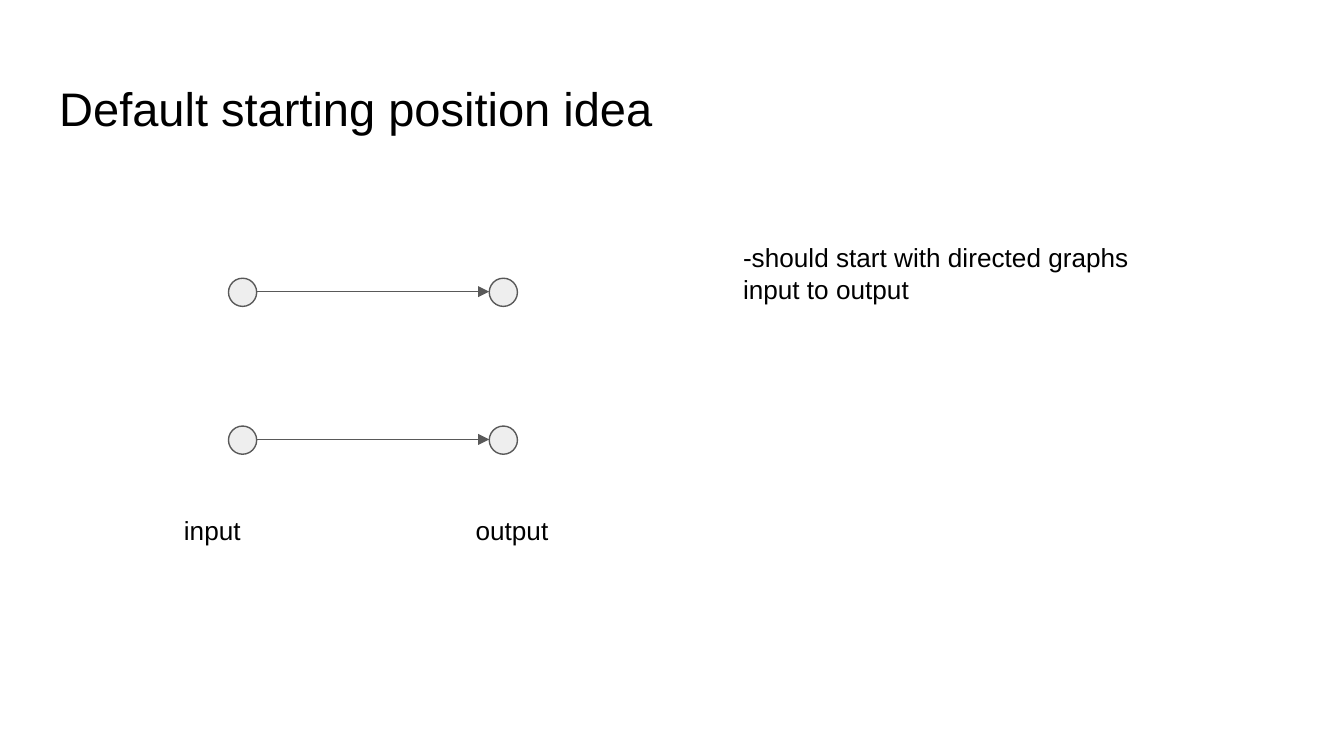
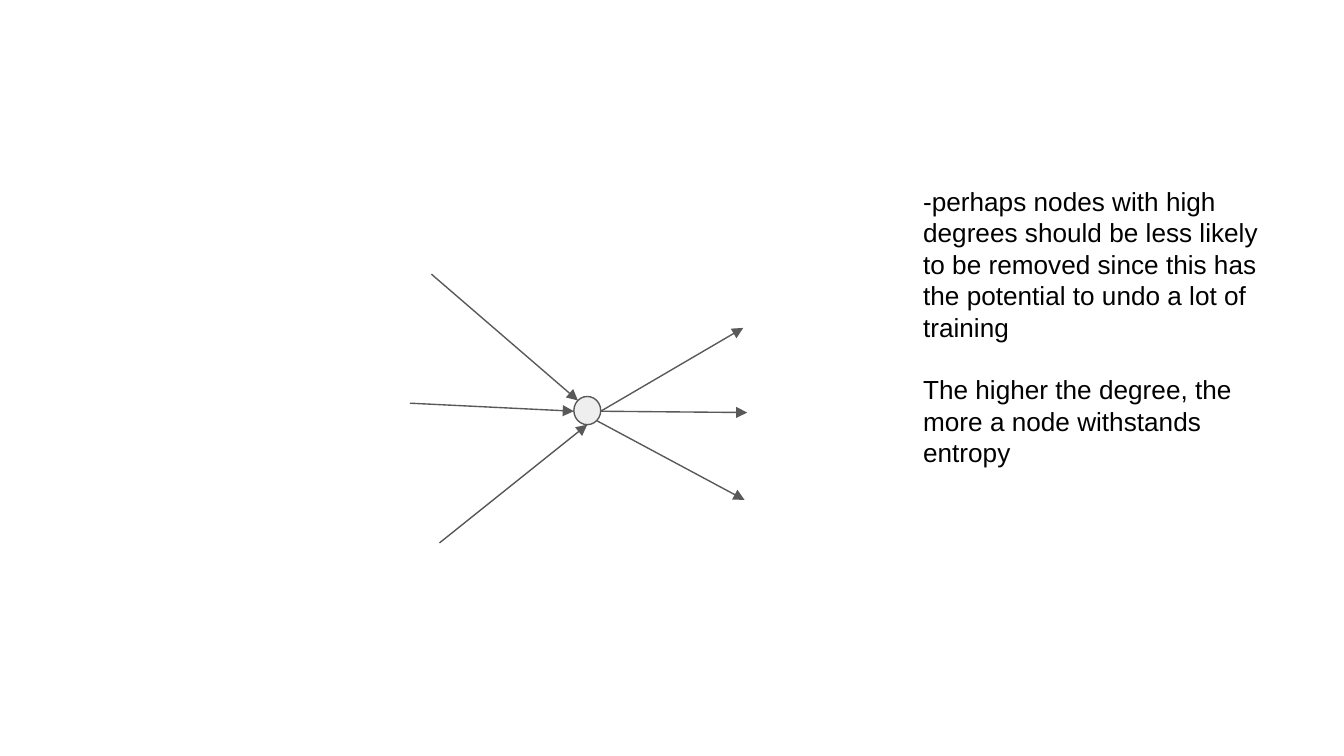
"""Build two slides on directed graphs and node degree."""
from typing import NamedTuple

from pptx import Presentation
from pptx import util as u
from pptx.dml.color import RGBColor
from pptx.enum import shapes, text
from pptx.oxml.ns import qn
from lxml import etree

INK = RGBColor(0x00, 0x00, 0x00)
EDGE = RGBColor(0x59, 0x59, 0x59)
FILL = RGBColor(0xEE, 0xEE, 0xEE)
FONT = "Arial"
WIDE = u.Inches(10)
HIGH = u.Emu(WIDE * 9 // 16)
PAD = u.Inches(0.1)
LINE = u.Pt(0.75)
BODY = 14
SIZE = 0.21


class Node(NamedTuple):
    x: float
    y: float
    w: float = SIZE


class Arrow(NamedTuple):
    x1: float
    y1: float
    x2: float
    y2: float


class Note(NamedTuple):
    x: float
    y: float
    w: float
    h: float
    paras: tuple[str, ...]


LEFT, RIGHT = 1.7, 3.64
ROWS = (2.07, 3.17)
PAIRS = [Node(x, y) for x in (LEFT, RIGHT) for y in ROWS]
LINKS = [Arrow(LEFT + SIZE, y + 0.1, RIGHT, y + 0.1) for y in ROWS]
LABELS = [
    Note(1.27, 3.73, 1.11, 0.44, ("input",)),
    Note(3.44, 3.73, 1.11, 0.44, ("output",)),
    Note(5.43, 1.7, 3.45, 0.67,
         ("-should start with directed graphs input to output",)),
]

HUB = Node(4.27, 2.95, 0.2)
SPOKES = [
    Arrow(3.21, 2.04, 4.3, 2.98),
    Arrow(3.05, 3, 4.27, 3.06),
    Arrow(3.27, 4.04, 4.37, 3.16),
    Arrow(4.47, 3.06, 5.53, 2.44),
    Arrow(4.47, 3.06, 5.56, 3.07),
    Arrow(4.44, 3.13, 5.54, 3.72),
]
ADVICE = Note(6.77, 1.28, 2.88, 2.32, (
    "-perhaps nodes with high degrees should be less likely to be removed "
    "since this has the potential to undo a lot of training",
    "The higher the degree, the more a node withstands entropy",
))


def write(frame, paras: tuple[str, ...], size: float) -> None:
    frame.word_wrap = True
    frame.vertical_anchor = text.MSO_ANCHOR.TOP
    frame.margin_left = frame.margin_right = PAD
    frame.margin_top = frame.margin_bottom = PAD
    for i, words in enumerate(paras):
        para = frame.add_paragraph() if i else frame.paragraphs[0]
        para.alignment = text.PP_ALIGN.LEFT
        para.space_before = u.Pt(size * 1.2 if i else 0)
        run = para.add_run()
        run.text = words
        run.font.name = FONT
        run.font.size = u.Pt(size)
        run.font.color.rgb = INK


def add_title(slide, words: str) -> None:
    title = slide.shapes.title
    title.left, title.top = u.Inches(0.34), u.Inches(0.49)
    title.width, title.height = u.Inches(9.32), u.Inches(0.63)
    title.text_frame.auto_size = text.MSO_AUTO_SIZE.NONE
    write(title.text_frame, (words,), 25.2)


def add_node(slide, node: Node) -> None:
    dot = slide.shapes.add_shape(
        shapes.MSO_SHAPE.OVAL, u.Inches(node.x), u.Inches(node.y),
        u.Inches(node.w), u.Inches(SIZE))
    dot.shadow.inherit = False
    dot.fill.solid()
    dot.fill.fore_color.rgb = FILL
    dot.line.color.rgb = EDGE
    dot.line.width = LINE


def add_arrow(slide, arrow: Arrow) -> None:
    link = slide.shapes.add_connector(
        shapes.MSO_CONNECTOR.STRAIGHT, *(u.Inches(v) for v in arrow))
    link.line.color.rgb = EDGE
    link.line.width = LINE
    props = link.element.spPr
    etree.SubElement(props.find(qn("a:ln")), qn("a:tailEnd"), type="triangle")
    etree.SubElement(props, qn("a:effectLst"))


def add_note(slide, note: Note) -> None:
    box = slide.shapes.add_textbox(
        u.Inches(note.x), u.Inches(note.y), u.Inches(note.w), u.Inches(note.h))
    box.text_frame.auto_size = text.MSO_AUTO_SIZE.SHAPE_TO_FIT_TEXT
    write(box.text_frame, note.paras, BODY)


def draw(slide, nodes: list[Node], arrows: list[Arrow],
         notes: list[Note]) -> None:
    for node in nodes:
        add_node(slide, node)
    for arrow in arrows:
        add_arrow(slide, arrow)
    for note in notes:
        add_note(slide, note)


def main() -> None:
    deck = Presentation()
    deck.slide_width, deck.slide_height = WIDE, HIGH
    start = deck.slides.add_slide(deck.slide_layouts[5])
    add_title(start, "Default starting position idea")
    draw(start, PAIRS, LINKS, LABELS)
    degree = deck.slides.add_slide(deck.slide_layouts[6])
    draw(degree, [HUB], SPOKES, [ADVICE])
    deck.save("out.pptx")


if __name__ == "__main__":
    main()
